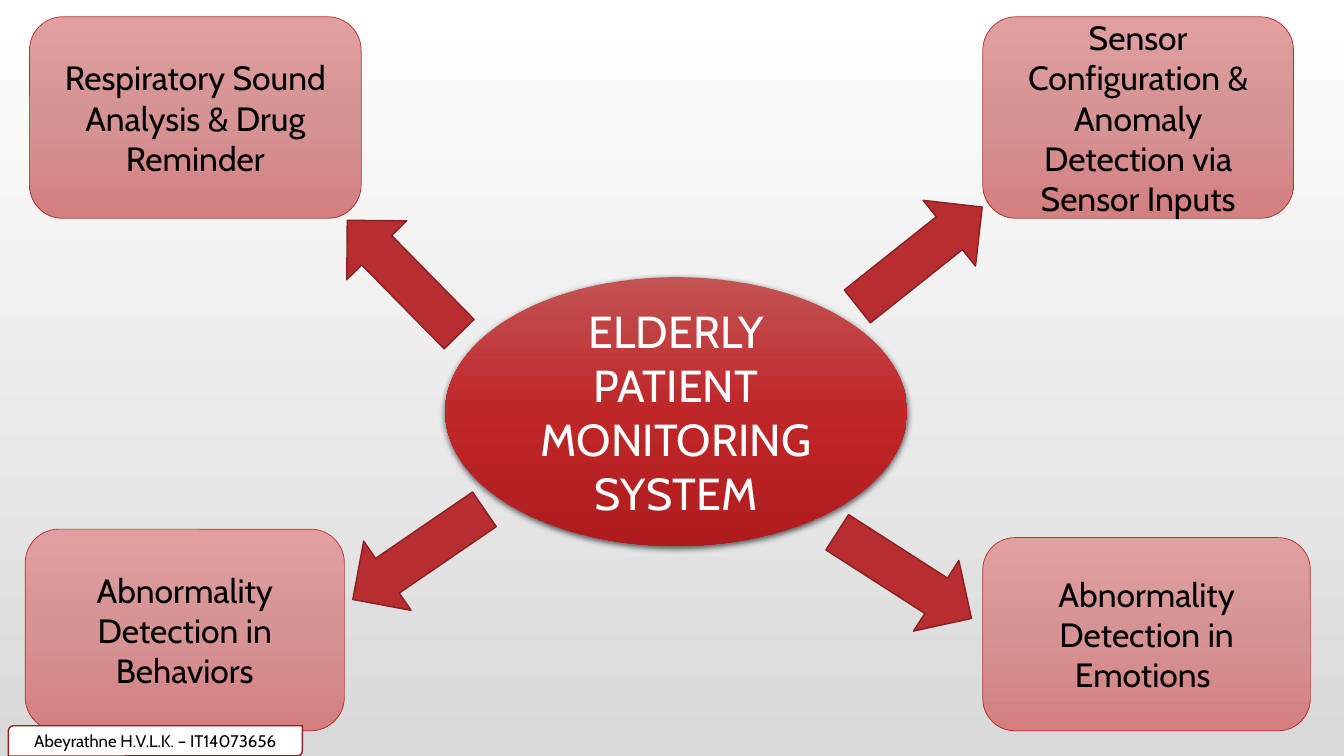
"""Build the overview slide of the elderly patient monitoring system."""
from lxml import etree
from pptx import Presentation
from pptx.dml.color import RGBColor
from pptx.enum.shapes import MSO_SHAPE
from pptx.enum.text import MSO_ANCHOR, PP_ALIGN
from pptx.oxml.ns import qn
from pptx.util import Pt

ELLIPSE = MSO_SHAPE.OVAL
ROUNDED = MSO_SHAPE.ROUNDED_RECTANGLE
ARROW = MSO_SHAPE.RIGHT_ARROW
LABEL = MSO_SHAPE.ROUND_2_DIAG_RECTANGLE
MIDDLE = MSO_ANCHOR.MIDDLE
CENTER = PP_ALIGN.CENTER

FONT = "Cabin"
BLANK_LAYOUT = 6
ARROW_SIZE = (114, 60)
COLORS = {
    "black": "000000",
    "white": "FFFFFF",
    "red": "B82D2F",
    "dark_red": "882123",
}
GRADIENTS = {
    "background": [(0, "D9D9D9"), (100, "FFFFFF")],
    "hub": [(0, "C35354"), (50, "BF2628"), (100, "B01C1E")],
    "module": [(0, "E0A0A0"), (50, "D69394"), (100, "D47F80")],
}
MODULES = [
    ("Sensor Configuration & Anomaly Detection via Sensor Inputs", (702, 12, 222, 144)),
    ("Respiratory Sound Analysis & Drug Reminder", (21, 12, 237, 144)),
    ("Abnormality Detection in Emotions ", (702, 384, 234, 138)),
    ("Abnormality Detection in Behaviors", (18, 378, 228, 144)),
]
ARROWS = [
    (600, 153.4, 321.5),
    (231, 168, 225.5),
    (242, 366, 145.6),
    (589, 381, 32.7),
]


def color(name):
    """Return the named colour."""
    return RGBColor.from_string(COLORS[name])


def paint_gradient(fill, element, name, angle):
    """Give a fill the named gradient, with the angle counted anticlockwise."""
    fill.gradient()
    fill.gradient_angle = angle
    stop_list = element.find(".//" + qn("a:gsLst"))
    for stop in list(stop_list):
        stop_list.remove(stop)
    for position, value in GRADIENTS[name]:
        stop = etree.SubElement(stop_list, qn("a:gs"), pos=str(position * 1000))
        etree.SubElement(stop, qn("a:srgbClr"), val=value)


def add_figure(slide, kind, box):
    """Add a preset shape without a shadow."""
    shape = slide.shapes.add_shape(kind, *(Pt(length) for length in box))
    shape.shadow.inherit = False
    return shape


def set_outline(shape, name, width):
    """Set the colour and width of the outline."""
    shape.line.color.rgb = color(name)
    shape.line.width = Pt(width)


def set_text(shape, text, size, name):
    """Write centred text into a shape."""
    text_frame = shape.text_frame
    text_frame.text = text
    text_frame.word_wrap = True
    text_frame.vertical_anchor = MIDDLE
    paragraph = text_frame.paragraphs[0]
    paragraph.alignment = CENTER
    font = paragraph.runs[0].font
    font.name = FONT
    font.size = Pt(size)
    font.color.rgb = color(name)


def add_shadow(shape):
    """Add a soft shadow below a shape."""
    effects = shape._element.spPr.find(qn("a:effectLst"))
    shadow = etree.SubElement(
        effects, qn("a:outerShdw"), blurRad=str(Pt(4.5)), dist=str(Pt(1.5)),
        dir="5400000", algn="ctr", rotWithShape="0")
    shade = etree.SubElement(shadow, qn("a:srgbClr"), val=COLORS["black"])
    etree.SubElement(shade, qn("a:alpha"), val="63000")


def add_hub(slide):
    """Add the central ellipse that names the system."""
    hub = add_figure(slide, ELLIPSE, (318, 198, 330, 192))
    paint_gradient(hub.fill, hub._element, "hub", 270)
    hub.line.fill.background()
    add_shadow(hub)
    set_text(hub, "ELDERLY PATIENT MONITORING SYSTEM", 32, "white")


def add_module(slide, text, box):
    """Add the rounded box of one module."""
    module = add_figure(slide, ROUNDED, box)
    paint_gradient(module.fill, module._element, "module", 270)
    set_outline(module, "red", 0.5)
    set_text(module, text, 24, "black")


def add_arrow(slide, left, top, rotation):
    """Add a block arrow that points from the hub to a module."""
    arrow = add_figure(slide, ARROW, (left, top, *ARROW_SIZE))
    arrow.rotation = rotation
    arrow.fill.solid()
    arrow.fill.fore_color.rgb = color("red")
    set_outline(arrow, "dark_red", 1)


def add_author_label(slide):
    """Add the author label at the bottom edge."""
    label = add_figure(slide, LABEL, (6, 518.4, 210, 21.6))
    label.fill.solid()
    label.fill.fore_color.rgb = color("white")
    set_outline(label, "dark_red", 1)
    set_text(label, "Abeyrathne H.V.L.K. – IT14073656", 12, "black")


def main():
    """Build and save the presentation."""
    presentation = Presentation()
    presentation.slide_width = Pt(960)
    presentation.slide_height = Pt(540)
    slide = presentation.slides.add_slide(presentation.slide_layouts[BLANK_LAYOUT])
    paint_gradient(slide.background.fill, slide._element, "background", 90)
    add_hub(slide)
    for text, box in MODULES:
        add_module(slide, text, box)
    for left, top, rotation in ARROWS:
        add_arrow(slide, left, top, rotation)
    add_author_label(slide)
    presentation.save("out.pptx")


main()
